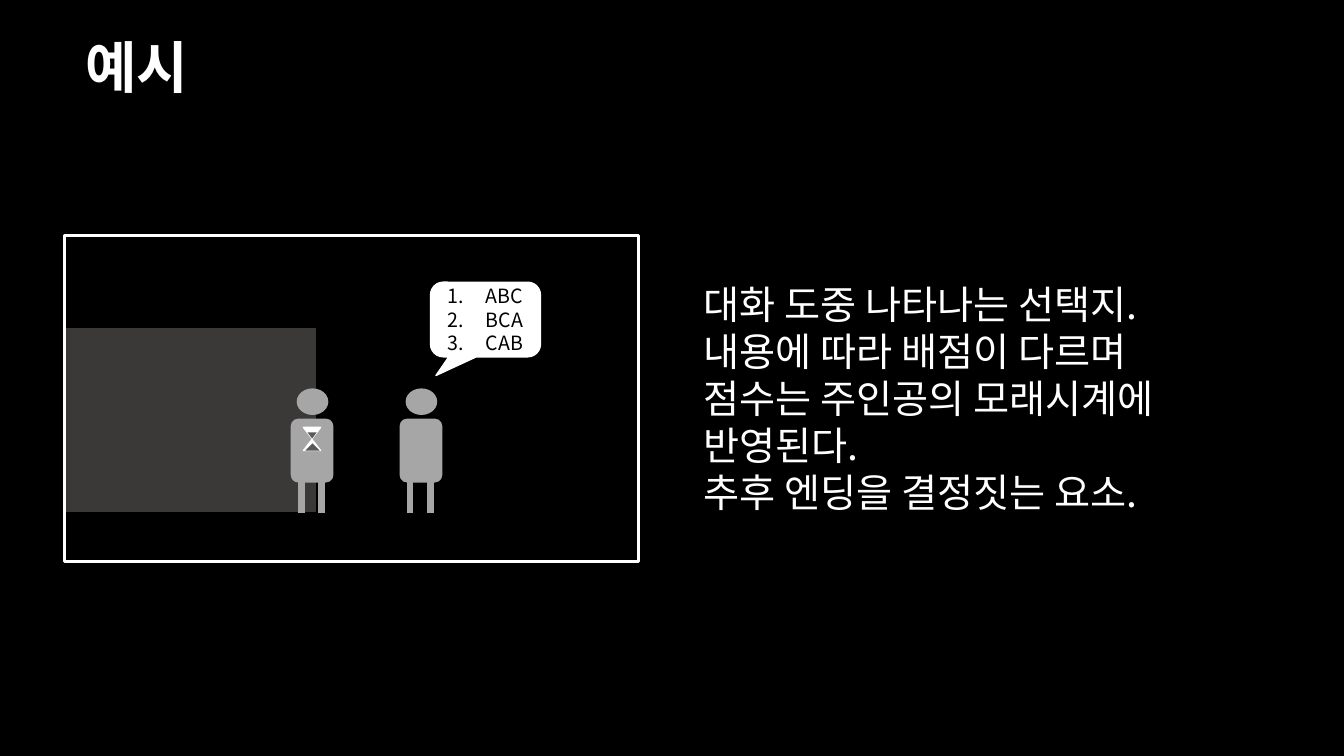
from dataclasses import dataclass
from typing import Any

from lxml.etree import SubElement
from pptx import Presentation
from pptx.dml.color import RGBColor
from pptx.enum.shapes import MSO_CONNECTOR, MSO_SHAPE
from pptx.enum.text import MSO_ANCHOR, MSO_AUTO_SIZE, PP_ALIGN
from pptx.oxml.ns import qn
from pptx.util import Inches, Pt

FONT = "Noto Sans CJK KR"
COLORS = {
    "black": "000000",
    "white": "FFFFFF",
    "wall": "3B3838",
    "body": "A6A6A6",
    "sand": "595959",
}


@dataclass
class Block:
    kind: MSO_SHAPE
    x: float
    y: float
    w: float
    h: float
    fill: str | None = None
    line: str | None = None
    weight: float = 1
    rotation: float = 0
    adj: tuple[float, ...] = ()


@dataclass
class Label:
    x: float
    y: float
    w: float
    h: float
    size: float
    lines: list[str]
    bold: bool = False


def rgb(name: str) -> RGBColor:
    return RGBColor.from_string(COLORS[name])


def add_block(shapes: Any, b: Block) -> Any:
    sp = shapes.add_shape(b.kind, *map(Inches, (b.x, b.y, b.w, b.h)))
    sp.shadow.inherit = False
    sp.rotation = b.rotation
    for i, value in enumerate(b.adj):
        sp.adjustments[i] = value
    if b.fill:
        sp.fill.solid()
        sp.fill.fore_color.rgb = rgb(b.fill)
    else:
        sp.fill.background()
    if b.line:
        sp.line.color.rgb = rgb(b.line)
        sp.line.width = Pt(b.weight)
    else:
        sp.line.fill.background()
    return sp


def add_leg(shapes: Any, x: float) -> None:
    leg = shapes.add_connector(
        MSO_CONNECTOR.STRAIGHT, Inches(x), Inches(4.73), Inches(x), Inches(5.09))
    leg.line.color.rgb = rgb("body")
    leg.line.width = Pt(4.5)
    SubElement(leg._element.spPr, qn("a:effectLst"))


def add_person(shapes: Any, x: float) -> None:
    add_block(shapes, Block(MSO_SHAPE.OVAL, x + 0.06, 3.86, 0.3, 0.25, "body", "body"))
    add_block(shapes, Block(MSO_SHAPE.FLOWCHART_ALTERNATE_PROCESS,
                            x, 4.16, 0.41, 0.62, "body", "body"))
    for dx in (0.1, 0.3):
        add_leg(shapes, x + dx)


def write_lines(tf: Any, lines: list[str], size: float, color: str,
                bold: bool = False, numbered: bool = False) -> None:
    font_format = {"name": FONT, "size": Pt(size), "bold": bold}
    for i, text in enumerate(lines):
        p = tf.paragraphs[0] if i == 0 else tf.add_paragraph()
        r = p.add_run()
        r.text = text
        for key, value in font_format.items():
            setattr(r.font, key, value)
        r.font.color.rgb = rgb(color)
        SubElement(r._r.get_or_add_rPr(), qn("a:ea"), typeface=FONT)
        if numbered:
            p.alignment = PP_ALIGN.CENTER
            pPr = p._p.get_or_add_pPr()
            pPr.set("marL", str(Inches(0.38)))
            pPr.set("indent", str(Inches(-0.38)))
            SubElement(pPr, qn("a:buFont"), typeface="+mj-lt")
            SubElement(pPr, qn("a:buAutoNum"), type="arabicPeriod")


def add_label(shapes: Any, label: Label) -> None:
    tf = shapes.add_textbox(
        *map(Inches, (label.x, label.y, label.w, label.h))).text_frame
    tf.word_wrap = True
    tf.auto_size = MSO_AUTO_SIZE.SHAPE_TO_FIT_TEXT
    write_lines(tf, label.lines, label.size, "white", label.bold)


WALL = Block(MSO_SHAPE.RECTANGLE, 0.64, 3.26, 2.49, 1.81, "wall", "wall")
FRAME = Block(MSO_SHAPE.RECTANGLE, 0.64, 2.34, 5.69, 3.23, line="white", weight=2)
HOURGLASS = [
    Block(MSO_SHAPE.ISOSCELES_TRIANGLE, 3.01, 4.36, 0.17, 0.11, "white", "white"),
    Block(MSO_SHAPE.ISOSCELES_TRIANGLE, 3.01, 4.24, 0.17, 0.11, "white", "white",
          rotation=180),
    Block(MSO_SHAPE.TRAPEZOID, 3.03, 4.4, 0.14, 0.07, "sand", adj=(0.98,)),
    Block(MSO_SHAPE.ISOSCELES_TRIANGLE, 3.05, 4.29, 0.09, 0.06, "sand", rotation=180),
]
BUBBLE = Block(MSO_SHAPE.ROUNDED_RECTANGULAR_CALLOUT, 4.27, 2.8, 1.09, 0.74,
               "white", "white", adj=(-0.45, 0.75, 0.17))
LABELS = [
    Label(0.75, 0.27, 2.74, 0.77, 40, ["예시"], bold=True),
    Label(6.88, 2.73, 5.87, 2.46, 28, [
        "대화 도중 나타나는 선택지.",
        "내용에 따라 배점이 다르며",
        "점수는 주인공의 모래시계에",
        "반영된다.",
        "추후 엔딩을 결정짓는 요소.",
    ]),
]


def main() -> None:
    prs = Presentation()
    prs.slide_width, prs.slide_height = Inches(13.33), Inches(7.5)
    s = prs.slides.add_slide(prs.slide_layouts[6])
    s.background.fill.solid()
    s.background.fill.fore_color.rgb = rgb("black")

    # Game scene: wall, hero with hourglass, frame, second person
    scene = s.shapes.add_group_shape().shapes
    add_block(scene, WALL)
    add_person(scene, 2.89)
    for part in HOURGLASS:
        add_block(scene, part)
    add_block(scene, FRAME)
    add_person(scene, 3.97)

    # Speech bubble with the choices
    tf = add_block(scene, BUBBLE).text_frame
    tf.word_wrap = True
    tf.vertical_anchor = MSO_ANCHOR.MIDDLE
    write_lines(tf, ["ABC", "BCA", "CAB"], 14, "black", numbered=True)

    # Title and explanation
    for label in LABELS:
        add_label(s.shapes, label)

    prs.save("out.pptx")


if __name__ == "__main__":
    main()
